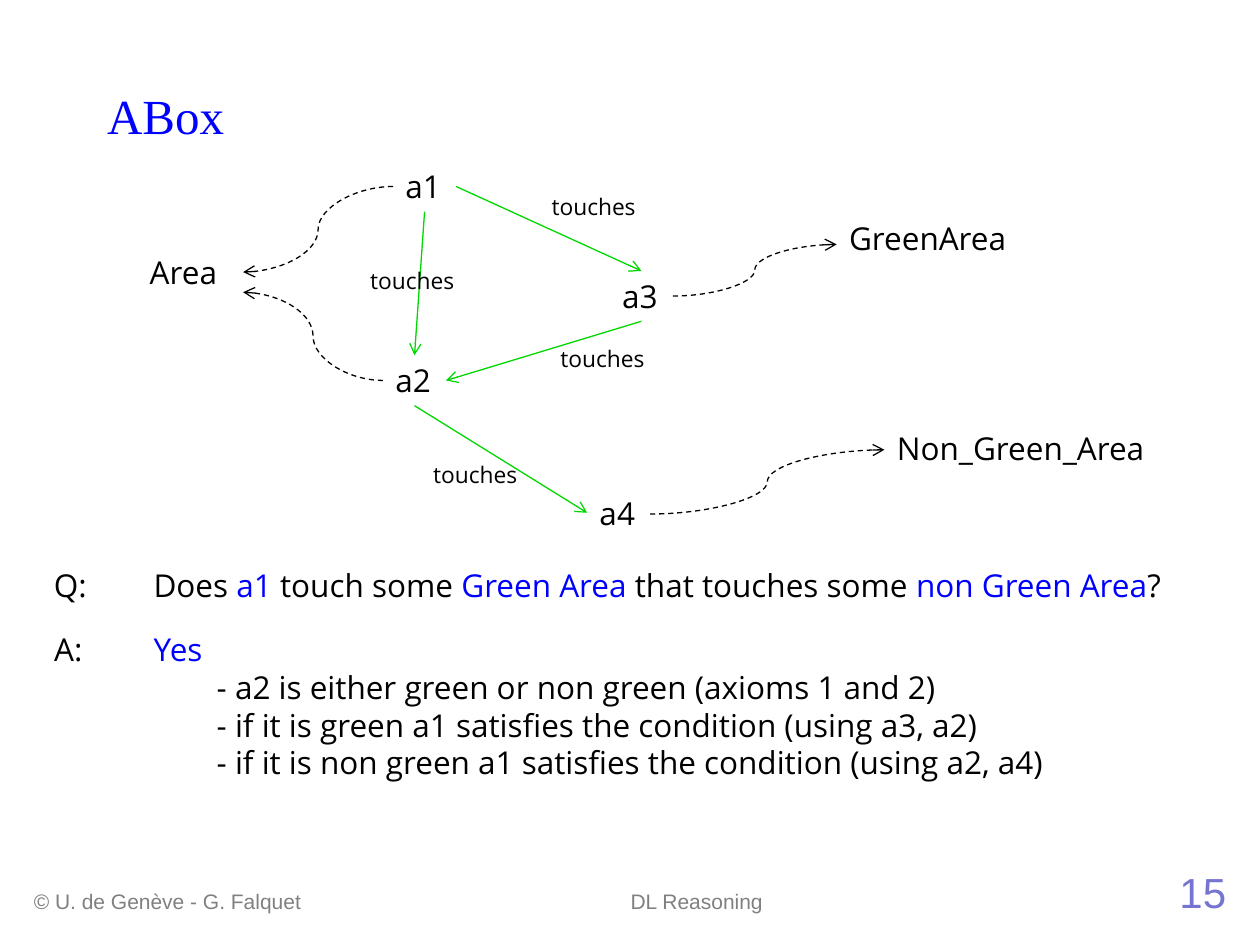
from dataclasses import dataclass
from typing import Any

import lxml.etree
import pptx
import pptx.dml.color
import pptx.enum.dml
import pptx.enum.shapes
import pptx.enum.text
import pptx.oxml.ns
import pptx.util

SCALE = 9144
HUES = {"black": "000000", "blue": "0000FF", "green": "00D800",
        "grey": "808080", "violet": "7575D1"}
ALIGN = pptx.enum.text.PP_ALIGN
FIT = pptx.enum.text.MSO_AUTO_SIZE
KIND = pptx.enum.shapes.MSO_CONNECTOR
TOP, LEFT, BASE, RIGHT = range(4)
Runs = list[tuple[str, str]]


@dataclass
class Label:
    text: str
    box: tuple[int, int, int, int]
    size: int = 18
    font: str = "Open Sans"
    hue: str = "black"
    align: Any = ALIGN.LEFT
    wrap: bool = False


@dataclass
class Touch:
    start: str
    side: int
    end: str
    goal: int


@dataclass
class Curve:
    start: tuple[int, int]
    end: tuple[int, int]


NODES = [
    Label("a1", (312, 128, 50, 40)),
    Label("a2", (304, 282, 50, 40)),
    Label("a3", (484, 215, 50, 40)),
    Label("a4", (466, 387, 50, 40)),
]
TAGS = [Label("touches", (x, y, 90, 32), 13)
        for x, y in [(428, 148), (284, 207), (435, 269), (334, 361)]]
AREAS = [
    Label("Area", (109, 196, 84, 71), wrap=True),
    Label("GreenArea", (664, 169, 148, 71)),
    Label("Non_Green_Area", (702, 336, 223, 40)),
]
FOOTS = [
    Label("© U. de Genève - G. Falquet", (17, 700, 317, 50), 12, "Arial", "grey", wrap=True),
    Label("DL Reasoning", (380, 700, 346, 45), 12, "Arial", "grey", ALIGN.CENTER, True),
    Label("15", (775, 683, 208, 50), 24, "Arial", "violet", ALIGN.RIGHT, True),
]
LINKS = [
    Touch("a1", RIGHT, "a3", TOP),
    Touch("a3", BASE, "a2", RIGHT),
    Touch("a1", BASE, "a2", TOP),
    Touch("a2", BASE, "a4", LEFT),
]
CURVES = [
    Curve((534, 235), (664, 194)),
    Curve((312, 148), (193, 216)),
    Curve((516, 408), (702, 357)),
    Curve((304, 302), (193, 232)),
]
QUERY = [("Q: \tDoes ", "black"), ("a1 ", "blue"), ("touch some ", "black"),
         ("Green Area", "blue"), (" that touches some ", "black"),
         ("non Green Area", "blue"), ("?", "black")]
REPLY = [("A: \t", "black"), ("Yes", "blue")]
PROOF = [
    "- a2 is either green or non green (axioms 1 and 2)",
    "- if it is green a1 satisfies the condition (using a3, a2)",
    "- if it is non green a1 satisfies the condition (using a2, a4)",
]


def px(count: int) -> int:
    return pptx.util.Emu(count * SCALE)


def tint(name: str) -> pptx.dml.color.RGBColor:
    return pptx.dml.color.RGBColor.from_string(HUES[name])


def place(shape: Any, box: tuple[int, int, int, int]) -> None:
    shape.left, shape.top, shape.width, shape.height = map(px, box)


def write(para: Any, runs: Runs, size: int = 18, font: str = "Open Sans") -> None:
    for text, hue in runs:
        run = para.add_run()
        run.text = text
        run.font.size = pptx.util.Pt(size)
        run.font.name = font
        run.font.color.rgb = tint(hue)


def indent(para: Any, left: int, first: int) -> None:
    props = para._p.get_or_add_pPr()
    props.set("marL", str(px(left)))
    props.set("indent", str(px(first)))
    para.space_before = pptx.util.Pt(0)
    lxml.etree.SubElement(props, pptx.oxml.ns.qn("a:buNone"))


def draw_label(slide: Any, item: Label) -> Any:
    shape = slide.shapes.add_textbox(*map(px, item.box))
    frame = shape.text_frame
    frame.word_wrap = item.wrap
    frame.auto_size = FIT.NONE if item in FOOTS else FIT.SHAPE_TO_FIT_TEXT
    para = frame.paragraphs[0]
    para.alignment = item.align
    write(para, [(item.text, item.hue)], item.size, item.font)
    return shape


def style(link: Any, hue: str) -> None:
    link.line.color.rgb = tint(hue)
    link.line.width = pptx.util.Pt(0.75)
    if hue == "black":
        link.line.dash_style = pptx.enum.dml.MSO_LINE.DASH
    tail = lxml.etree.SubElement(link.line._get_or_add_ln(), pptx.oxml.ns.qn("a:tailEnd"))
    tail.set("type", "arrow")
    lxml.etree.SubElement(link._element.spPr, pptx.oxml.ns.qn("a:effectLst"))


def draw_touch(slide: Any, item: Touch, nodes: dict[str, Any]) -> None:
    link = slide.shapes.add_connector(KIND.STRAIGHT, 0, 0, 0, 0)
    link.begin_connect(nodes[item.start], item.side)
    link.end_connect(nodes[item.end], item.goal)
    style(link, "green")


def draw_curve(slide: Any, item: Curve) -> None:
    link = slide.shapes.add_connector(KIND.CURVE, *map(px, item.start + item.end))
    style(link, "black")


def draw_title(slide: Any) -> None:
    title = slide.shapes.title
    place(title, (75, 44, 850, 94))
    title.text_frame.vertical_anchor = pptx.enum.text.MSO_ANCHOR.MIDDLE
    para = title.text_frame.paragraphs[0]
    para.alignment = ALIGN.LEFT
    write(para, [("ABox", "blue")], 28, "Times New Roman")


def draw_query(slide: Any) -> None:
    shape = slide.shapes.add_textbox(*map(px, (33, 444, 942, 40)))
    shape.text_frame.word_wrap = True
    para = shape.text_frame.paragraphs[0]
    indent(para, 79, -79)
    write(para, QUERY)


def draw_reply(slide: Any) -> None:
    body = slide.placeholders[1]
    place(body, (33, 495, 942, 131))
    frame = body.text_frame
    frame.auto_size = FIT.NONE
    indent(frame.paragraphs[0], 79, -79)
    write(frame.paragraphs[0], REPLY)
    for line in PROOF:
        para = frame.add_paragraph()
        indent(para, 129, 0)
        write(para, [(line, "black")])


def main() -> None:
    deck = pptx.Presentation()
    deck.slide_width, deck.slide_height = px(1000), px(750)
    slide = deck.slides.add_slide(deck.slide_layouts[1])
    draw_title(slide)
    nodes = {item.text: draw_label(slide, item) for item in NODES}
    for link in LINKS:
        draw_touch(slide, link, nodes)
    for item in TAGS + AREAS + FOOTS:
        draw_label(slide, item)
    for curve in CURVES:
        draw_curve(slide, curve)
    draw_query(slide)
    draw_reply(slide)
    deck.save("out.pptx")


if __name__ == "__main__":
    main()
